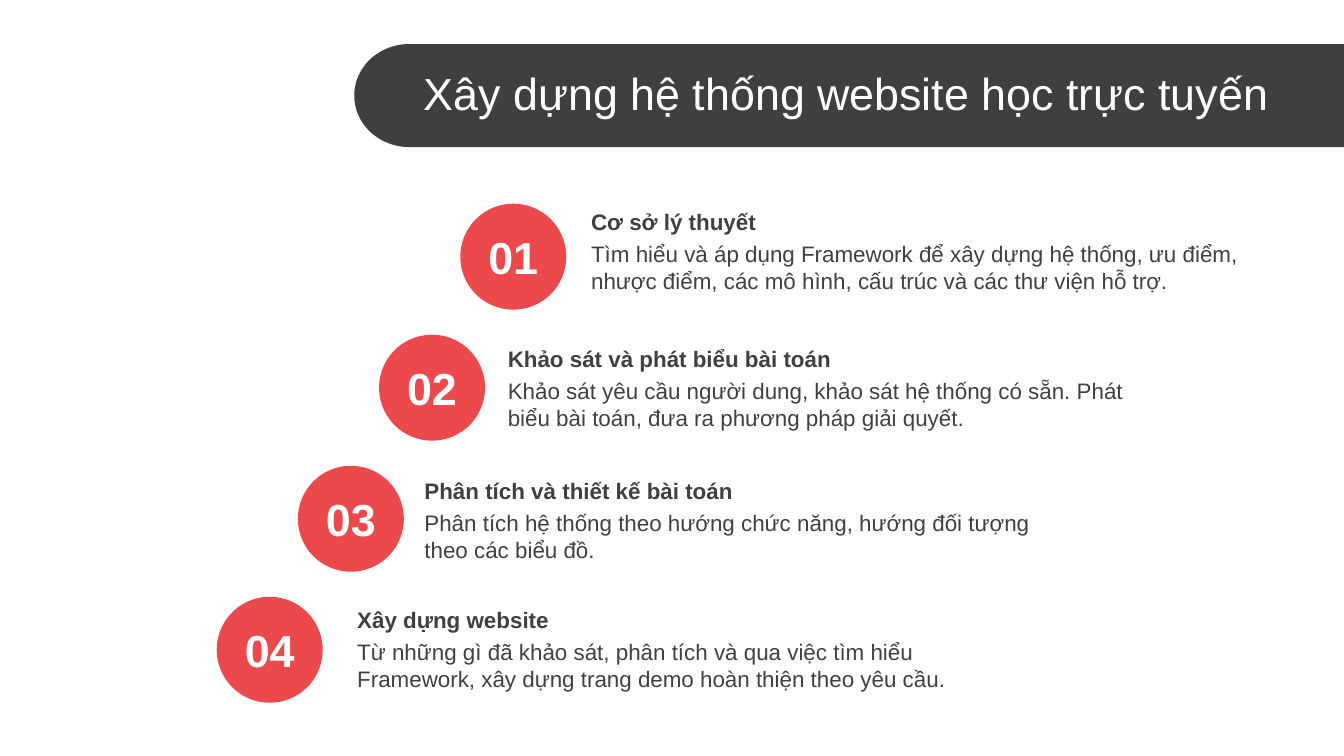
from math import cos, pi, sin

from pptx import Presentation
from pptx.dml.color import RGBColor
from pptx.enum.shapes import MSO_SHAPE as Shape
from pptx.enum.text import MSO_ANCHOR as Anchor, PP_ALIGN as Align
from pptx.util import Inches, Pt

# The slide is a grid of square cells, 100 columns by 56.25 rows.
CELL = Inches(0.1)
COLS, ROWS = 100, 56.25

DARK = RGBColor(0x3F, 0x3F, 0x3F)
GREY = RGBColor(0x40, 0x40, 0x40)
RED = RGBColor(0xEB, 0x49, 0x4B)
WHITE = RGBColor(0xFF, 0xFF, 0xFF)

TITLE = "Xây dựng hệ thống website học trực tuyến"
# Column and row of the text, heading, body
STEPS = [
    (43, 15, "Cơ sở lý thuyết",
     "Tìm hiểu và áp dụng Framework để xây dựng hệ thống, ưu điểm, "
     "nhược điểm, các mô hình, cấu trúc và các thư viện hỗ trợ."),
    (36.8, 25.2, "Khảo sát và phát biểu bài toán",
     "Khảo sát yêu cầu người dung, khảo sát hệ thống có sẵn. Phát "
     "biểu bài toán, đưa ra phương pháp giải quyết."),
    (30.6, 35, "Phân tích và thiết kế bài toán",
     "Phân tích hệ thống theo hướng chức năng, hướng đối tượng "
     "theo các biểu đồ."),
    (25.6, 44.6, "Xây dựng website",
     "Từ những gì đã khảo sát, phân tích và qua việc tìm hiểu "
     "Framework, xây dựng trang demo hoàn thiện theo yêu cầu."),
]


def grid(*cells):
    return [round(n * CELL) for n in cells]


def paint(shape, color):
    shape.shadow.inherit = False
    shape.fill.solid()
    shape.fill.fore_color.rgb = color
    shape.line.fill.background()


def write(slide, box, text, size=12, color=GREY, bold=False, align=Align.LEFT):
    frame = slide.shapes.add_textbox(*grid(*box)).text_frame
    frame.word_wrap = True
    frame.vertical_anchor = Anchor.MIDDLE
    para = frame.paragraphs[0]
    para.alignment = align
    run = para.add_run()
    run.text = text
    font = run.font
    font.name, font.size, font.bold = "Arial", Pt(size), bold
    font.color.rgb = color


def banner(slide, box):
    """Bar with a rounded left end, running off the right edge."""
    left, top, wide, high = box
    bend, half, parts = 4.1, high / 2, 48
    turns = [pi * n / parts for n in range(parts + 1)]
    arc = [grid(left + bend * (1 - sin(t)), top + half * (1 + cos(t)))
           for t in turns]
    right = left + wide
    path = slide.shapes.build_freeform(*grid(right, top))
    path.add_line_segments([grid(right, top + high), *arc], close=True)
    paint(path.convert_to_shape(), DARK)
    write(slide, (left + 4.2, top + 0.45, wide - 4.2, 6.3), TITLE,
          size=24, color=WHITE)


def badge(slide, box, label):
    left, top, wide, high = box
    paint(slide.shapes.add_shape(Shape.OVAL, *grid(*box)), RED)
    write(slide, (left, top + 1.4, wide, 5), label,
          size=24, color=WHITE, bold=True, align=Align.CENTER)


def step(slide, box, head, body):
    left, top, wide, high = box
    write(slide, (left, top, wide, 3), head, bold=True)
    write(slide, (left, top + 2.4, wide, high - 2.4), body)


def main():
    deck = Presentation()
    deck.slide_width, deck.slide_height = grid(COLS, ROWS)
    slide = deck.slides.add_slide(deck.slide_layouts[6])
    banner(slide, (26.36, 3.28, COLS - 26.36, 7.67))
    for n, (col, row, head, body) in enumerate(STEPS):
        spot = (34.25 - 6.04 * n, 15.16 + 9.75 * n, 7.88, 7.88)
        badge(slide, spot, f"{n + 1:02}")
        step(slide, (col, row, 50.4, 7.4), head, body)
    deck.save("out.pptx")


if __name__ == "__main__":
    main()
